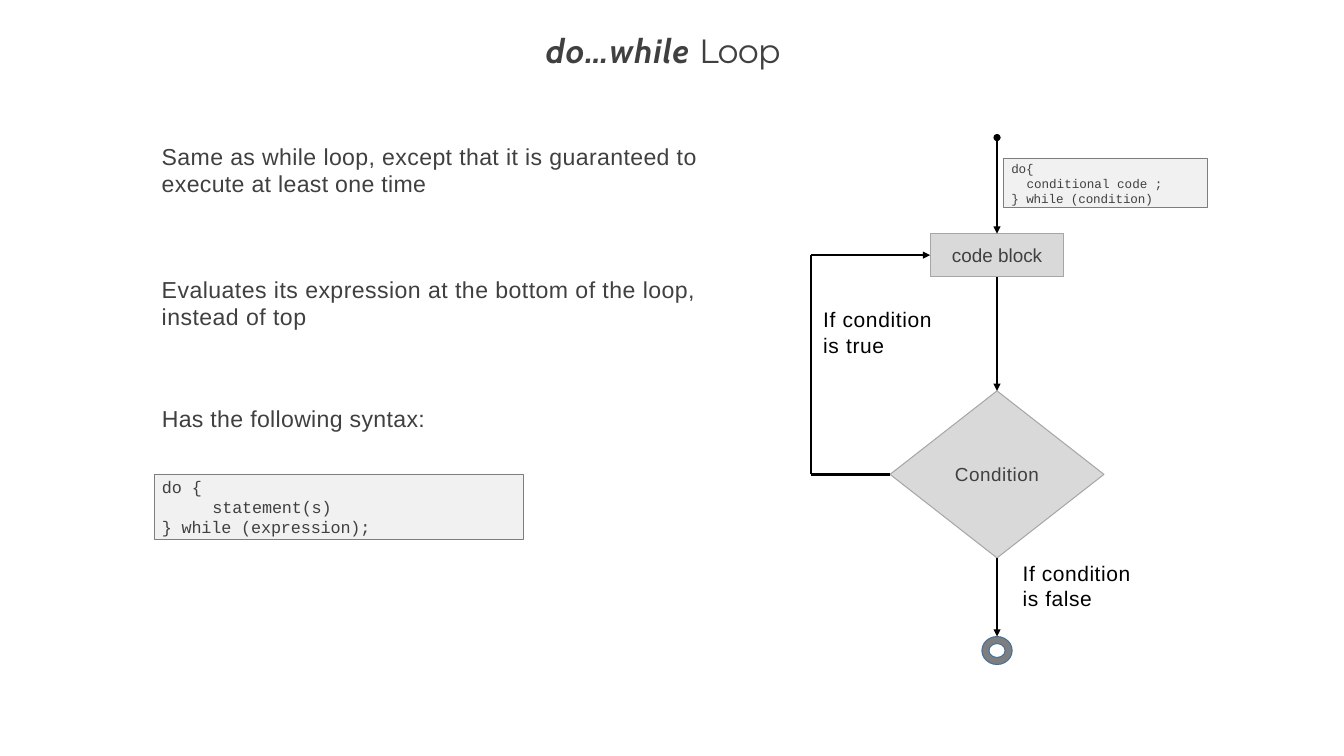
from dataclasses import dataclass

from lxml.etree import SubElement
from pptx import Presentation
from pptx.dml.color import RGBColor
from pptx.enum.shapes import MSO_CONNECTOR, MSO_SHAPE
from pptx.enum.text import MSO_ANCHOR, PP_ALIGN
from pptx.oxml.ns import qn
from pptx.util import Inches, Pt

DARK, BLACK = "404040", "000000"
AXIS = 13.19  # centre line of the flowchart
RETURN_X = 10.73  # vertical part of the loop back
TOP, LEFT, BOTTOM = 0, 1, 2


@dataclass
class Line:
    text: str
    spacing: float = 0
    indent: float = 0


@dataclass
class Style:
    font: str
    size: float
    color: str = DARK
    inset: float = 0.02


@dataclass
class Block:
    """A text area; it becomes a bordered code panel if panel is set."""
    left: float
    top: float
    width: float
    height: float
    style: Style
    lines: list[Line]
    panel: bool = False


BODY = Style("Arial", 22)
LABEL = Style("Arial", 20, BLACK)
NODE = Style("Arial", 18)
CODE = Style("Courier New", 16, inset=0.03)
SMALL_CODE = Style("Courier New", 12, inset=0.04)

BLOCKS = [
    Block(2.14, 1.86, 7.3, 0.76, BODY, [
        Line("Same as while loop, except that it is guaranteed to", 0.4),
        Line("execute at least one time", 0.35)]),
    Block(2.14, 3.62, 7.3, 0.76, BODY, [
        Line("Evaluates its expression at the bottom of the loop, instead of top", 0.45)]),
    Block(2.14, 5.33, 3.58, 0.39, BODY, [Line("Has the following syntax:", 0.35)]),
    Block(2.04, 6.27, 4.88, 0.86, CODE, [
        Line("do {", indent=0.1),
        Line("statement(s)", -0.1, 0.77),
        Line("} while (expression);", -0.1, 0.1)], panel=True),
    Block(13.28, 2.09, 2.69, 0.66, SMALL_CODE, [
        Line("do{", -0.2, 0.1),
        Line("conditional code ;", 0, 0.3),
        Line("} while (condition)", -0.1, 0.1)], panel=True),
    Block(10.89, 4.04, 1.55, 0.7, LABEL, [Line("If condition is true", 0.6)]),
    Block(13.53, 7.39, 1.55, 0.7, LABEL, [Line("If condition is false", 0.5)]),
]


def rgb(color: str) -> RGBColor:
    return RGBColor.from_string(color)


def format_run(span, style: Style, spacing: float, **extra) -> None:
    values = {"name": style.font, "size": Pt(style.size), **extra}
    for name, value in values.items():
        setattr(span.font, name, value)
    span.font.color.rgb = rgb(style.color)
    span.font._element.set("spc", str(round(spacing * 100)))


def prepare_frame(frame, inset: float, anchor=MSO_ANCHOR.TOP) -> None:
    values = {
        "word_wrap": True, "vertical_anchor": anchor,
        "margin_left": 0, "margin_right": 0,
        "margin_top": Inches(inset), "margin_bottom": 0,
    }
    for name, value in values.items():
        setattr(frame, name, value)


def write_lines(frame, lines: list[Line], style: Style, align=PP_ALIGN.LEFT) -> None:
    for number, line in enumerate(lines):
        para = frame.add_paragraph() if number else frame.paragraphs[0]
        para._p.get_or_add_pPr().set("marL", str(Inches(line.indent)))
        para.alignment = align
        span = para.add_run()
        span.text = line.text
        format_run(span, style, line.spacing)


def add_filled(page, kind, area, fill: str, border: str, weight: float):
    shape = page.shapes.add_shape(kind, *map(Inches, area))
    shape.shadow.inherit = False
    shape.fill.solid()
    shape.fill.fore_color.rgb = rgb(fill)
    shape.line.color.rgb = rgb(border)
    shape.line.width = Pt(weight)
    return shape


def add_block(page, block: Block) -> None:
    area = block.left, block.top, block.width, block.height
    if block.panel:
        box = add_filled(page, MSO_SHAPE.RECTANGLE, area, "F1F1F1", "7E7E7E", 0.72)
    else:
        box = page.shapes.add_textbox(*map(Inches, area))
    prepare_frame(box.text_frame, block.style.inset)
    write_lines(box.text_frame, block.lines, block.style)


def add_node(page, kind, top: float, width: float, height: float,
             line: Line | None = None, fill: str = "D9D9D9", border: str = "A6A6A6"):
    """Draw a flowchart node centred on the axis."""
    area = AXIS - width / 2, top, width, height
    node = add_filled(page, kind, area, fill, border, 0.96)
    if line:
        prepare_frame(node.text_frame, 0, MSO_ANCHOR.MIDDLE)
        write_lines(node.text_frame, [line], NODE, PP_ALIGN.CENTER)
    return node


def add_flow(page, start, end, begin=None, finish=None,
             tail: str | None = None, head: str | None = None) -> None:
    """Draw a straight flow line; begin and finish are (node, side) joints."""
    flow = page.shapes.add_connector(MSO_CONNECTOR.STRAIGHT, *map(Inches, (*start, *end)))
    if begin:
        flow.begin_connect(*begin)
    if finish:
        flow.end_connect(*finish)
    flow.line.color.rgb = rgb(BLACK)
    flow.line.width = Pt(2.28)
    outline = flow.line._get_or_add_ln()
    for tag, kind in (("a:headEnd", head), ("a:tailEnd", tail)):
        if kind:
            SubElement(outline, qn(tag), type=kind)
    SubElement(flow._element.spPr, qn("a:effectLst"))


def add_title(page) -> None:
    title = page.shapes.title
    title.left, title.top, title.width, title.height = map(Inches, (7.22, 0.38, 3.37, 0.56))
    prepare_frame(title.text_frame, 0.02)
    para = title.text_frame.paragraphs[0]
    para.alignment = PP_ALIGN.LEFT
    for text, font, spacing, strong in (("do…while ", "Cabin", 1.1, True),
                                        ("Loop", "Montserrat", -1, False)):
        span = para.add_run()
        span.text = text
        format_run(span, Style(font, 32), spacing, bold=strong, italic=strong)


def add_flowchart(page) -> None:
    code = add_node(page, MSO_SHAPE.RECTANGLE, 3.09, 1.77, 0.57, Line("code block"))
    condition = add_node(page, MSO_SHAPE.DIAMOND, 5.17, 2.83, 2.21, Line("Condition", 0.5))
    stop = add_node(page, MSO_SHAPE.DONUT, 8.42, 0.4, 0.37, fill="7E7E7E", border="41709C")

    code_y, condition_y = 3.09 + 0.57 / 2, 5.17 + 2.21 / 2
    upper, lower = (RETURN_X, code_y), (RETURN_X, condition_y)
    add_flow(page, (AXIS, 1.82), (AXIS, 3.09), finish=(code, TOP), tail="triangle", head="oval")
    add_flow(page, (AXIS, 3.66), (AXIS, 5.17), (code, BOTTOM), (condition, TOP), "triangle")
    add_flow(page, (AXIS, 7.38), (AXIS, 8.42), (condition, BOTTOM), (stop, TOP), "triangle")
    add_flow(page, (11.78, condition_y), lower, begin=(condition, LEFT))
    add_flow(page, lower, upper)
    add_flow(page, upper, (12.3, code_y), finish=(code, LEFT), tail="triangle")


def main() -> None:
    deck = Presentation()
    deck.slide_width, deck.slide_height = Inches(17.78), Inches(10)
    page = deck.slides.add_slide(deck.slide_layouts[5])
    add_title(page)
    add_flowchart(page)
    for block in BLOCKS:
        add_block(page, block)
    deck.save("out.pptx")


if __name__ == "__main__":
    main()
